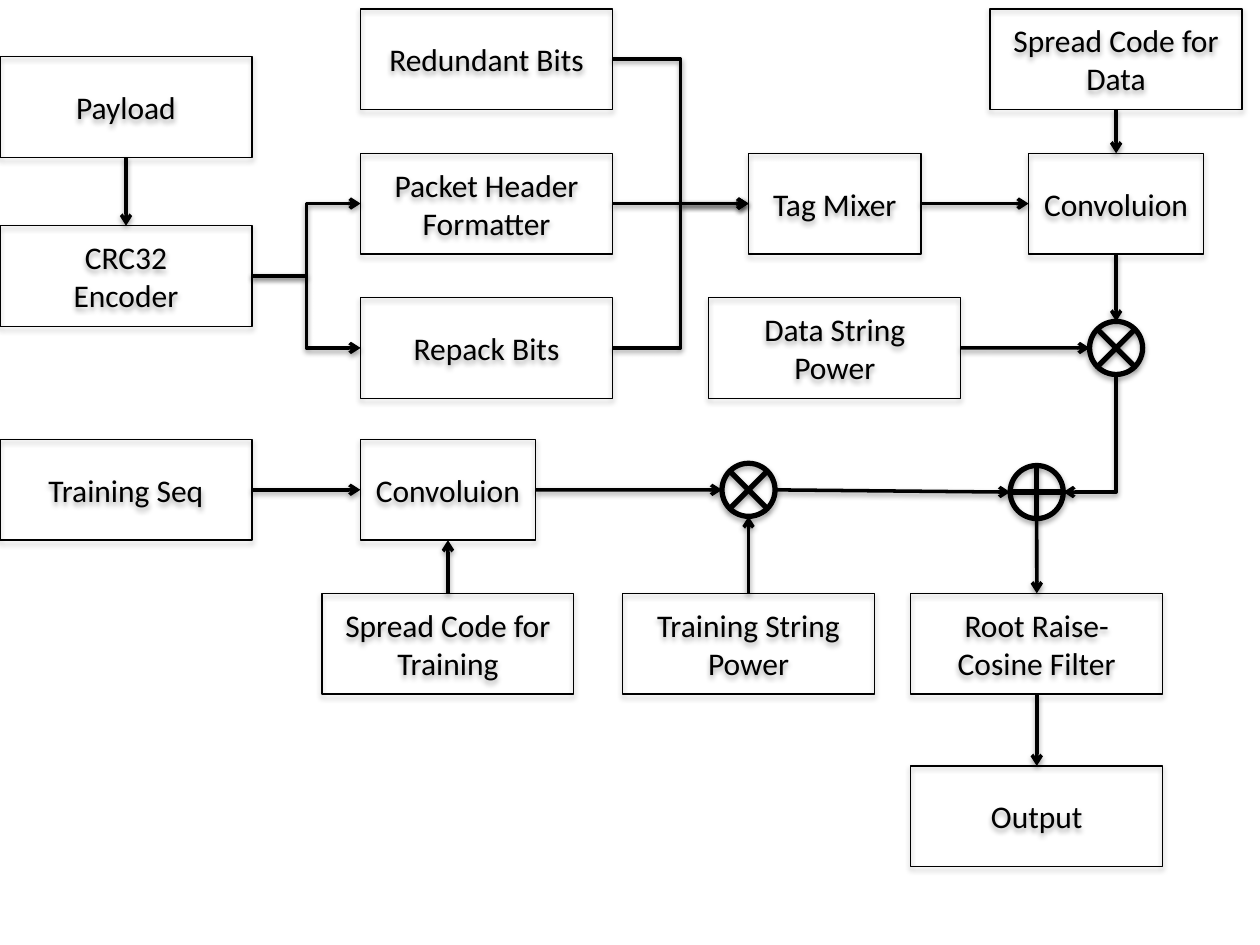
"""Draws the signal chain from payload and training sequence to output."""
import math

import lxml.etree
import pptx
import pptx.dml.color
import pptx.enum.shapes
import pptx.enum.text
import pptx.oxml.ns
import pptx.util

Cm = pptx.util.Cm
Pt = pptx.util.Pt
qn = pptx.oxml.ns.qn
KIND = pptx.enum.shapes.MSO_SHAPE
LINK = pptx.enum.shapes.MSO_CONNECTOR
HUES = {"ink": "000000"}
TOP, LEFT, BOTTOM, RIGHT = range(4)
WIDE, SLIM, HIGH, ROUND = 5.08, 3.53, 2.03, 1.07
STEP = 2.91


def ink():
    """Return the colour of all lines and text."""
    return pptx.dml.color.RGBColor.from_string(HUES["ink"])


def pen(line, size):
    """Set the colour and width of a line."""
    line.color.rgb = ink()
    line.width = Pt(size)


def block(slide, text, mid, top, width=WIDE):
    """Add a labelled rectangle centred on mid."""
    rect = slide.shapes.add_shape(
        KIND.RECTANGLE, Cm(mid - width / 2), Cm(top), Cm(width), Cm(HIGH))
    rect.fill.background()
    pen(rect.line, 0.75)
    frame = rect.text_frame
    frame.word_wrap = True
    frame.vertical_anchor = pptx.enum.text.MSO_ANCHOR.MIDDLE
    frame.text = text
    for para in frame.paragraphs:
        para.alignment = pptx.enum.text.PP_ALIGN.CENTER
        para.font.size = Pt(18)
        para.font.name = "Calibri"
        para.font.color.rgb = ink()
    return rect


def node(slide, x, y, turn):
    """Add a circle centred on x, y with a cross turned by some degrees."""
    group = slide.shapes.add_group_shape()
    half = ROUND / 2
    ring = group.shapes.add_shape(
        KIND.OVAL, Cm(x - half), Cm(y - half), Cm(ROUND), Cm(ROUND))
    ring.fill.background()
    pen(ring.line, 3)
    for angle in (turn, turn + 90):
        dx = half * math.cos(math.radians(angle))
        dy = half * math.sin(math.radians(angle))
        bar = group.shapes.add_connector(
            LINK.STRAIGHT, Cm(x - dx), Cm(y - dy), Cm(x + dx), Cm(y + dy))
        pen(bar.line, 3)
    return ring


def spot(shape, side):
    """Return the middle of a side of a shape."""
    fx, fy = ((0.5, 0), (0, 0.5), (0.5, 1), (1, 0.5))[side]
    return (int(shape.left + fx * shape.width),
            int(shape.top + fy * shape.height))


def tip(wire):
    """Style a connector and give its end an open arrow."""
    pen(wire.line, 2)
    lxml.etree.SubElement(
        wire.line._get_or_add_ln(), qn("a:tailEnd"), type="arrow")


def link(slide, start, out, end, into, kind=LINK.STRAIGHT):
    """Run an arrow from a side of one shape to a side of another."""
    wire = slide.shapes.add_connector(kind, *spot(start, out), *spot(end, into))
    if start.auto_shape_type == KIND.RECTANGLE:
        wire.begin_connect(start, out)
    if end.auto_shape_type == KIND.RECTANGLE:
        wire.end_connect(end, into)
    tip(wire)


def bend(slide, start, end):
    """Run an arrow down from one shape, then left into another."""
    x1, y1 = spot(start, BOTTOM)
    x2, y2 = spot(end, RIGHT)
    wide, high = y2 - y1, x1 - x2
    x, y = (x1 + x2 - wide) // 2, (y1 + y2 - high) // 2
    wire = slide.shapes.add_connector(LINK.ELBOW, x, y, x + wide, y + high)
    form = wire._element.spPr
    form.find(qn("a:xfrm")).set("rot", "5400000")
    form.find(qn("a:prstGeom")).set("prst", "bentConnector2")
    tip(wire)


def source(slide, x, y):
    """Place the payload and its encoder, and return the encoder."""
    load = block(slide, "Payload", x, y)
    code = block(slide, "CRC32\nEncoder", x, y + 3.41)
    link(slide, load, BOTTOM, code, TOP)
    return code


def pack(slide, x, y):
    """Place the three packet parts, and return them from the top."""
    names = ("Redundant Bits", "Packet Header Formatter", "Repack Bits")
    return [block(slide, name, x, y + row * STEP)
            for row, name in enumerate(names)]


def data(slide, x, y):
    """Place the data spreading, and return the mixer and the multiplier."""
    mid = x + 5.67
    mix = block(slide, "Tag Mixer", x, y + STEP, 3.48)
    power = block(slide, "Data String Power", x, y + 2 * STEP)
    code = block(slide, "Spread Code for Data", mid, y)
    conv = block(slide, "Convoluion", mid, y + STEP, SLIM)
    times = node(slide, mid, y + 2 * STEP + HIGH / 2, 45)
    link(slide, mix, RIGHT, conv, LEFT)
    link(slide, code, BOTTOM, conv, TOP)
    link(slide, conv, BOTTOM, times, TOP)
    link(slide, power, RIGHT, times, LEFT)
    return mix, times


def train(slide, x, y):
    """Place the training spreading, and return its multiplier."""
    seq = block(slide, "Training Seq", x, y)
    conv = block(slide, "Convoluion", x + 6.49, y, SLIM)
    times = node(slide, x + 12.55, y + HIGH / 2, 45)
    code = block(slide, "Spread Code for Training", x + 6.49, y + 3.1)
    power = block(slide, "Training String Power", x + 12.55, y + 3.1)
    link(slide, seq, RIGHT, conv, LEFT)
    link(slide, conv, RIGHT, times, LEFT)
    link(slide, code, TOP, conv, BOTTOM)
    link(slide, power, TOP, times, BOTTOM)
    return times


def sink(slide, x, y):
    """Place the adder, filter and output, and return the adder."""
    plus = node(slide, x, y, 0)
    sieve = block(slide, "Root Raise-Cosine Filter", x, y + 2.04)
    out = block(slide, "Output", x, y + 5.52)
    link(slide, plus, BOTTOM, sieve, TOP)
    link(slide, sieve, BOTTOM, out, TOP)
    return plus


def main():
    """Build the slide and save it."""
    deck = pptx.Presentation()
    deck.slide_width, deck.slide_height = Cm(25.4), Cm(19.05)
    slide = deck.slides.add_slide(deck.slide_layouts[6])
    code = source(slide, 2.54, 1.14)
    parts = pack(slide, 9.81, 0.18)
    mix, times = data(slide, 16.83, 0.18)
    pulse = train(slide, 2.54, 8.86)
    plus = sink(slide, 20.9, 9.92)
    extra, head, body = parts
    for part in (head, body):
        link(slide, code, RIGHT, part, LEFT, LINK.ELBOW)
    link(slide, head, RIGHT, mix, LEFT)
    for part in (body, extra):
        link(slide, part, RIGHT, mix, LEFT, LINK.ELBOW)
    link(slide, pulse, RIGHT, plus, LEFT)
    bend(slide, times, plus)
    deck.save("out.pptx")


if __name__ == "__main__":
    main()
